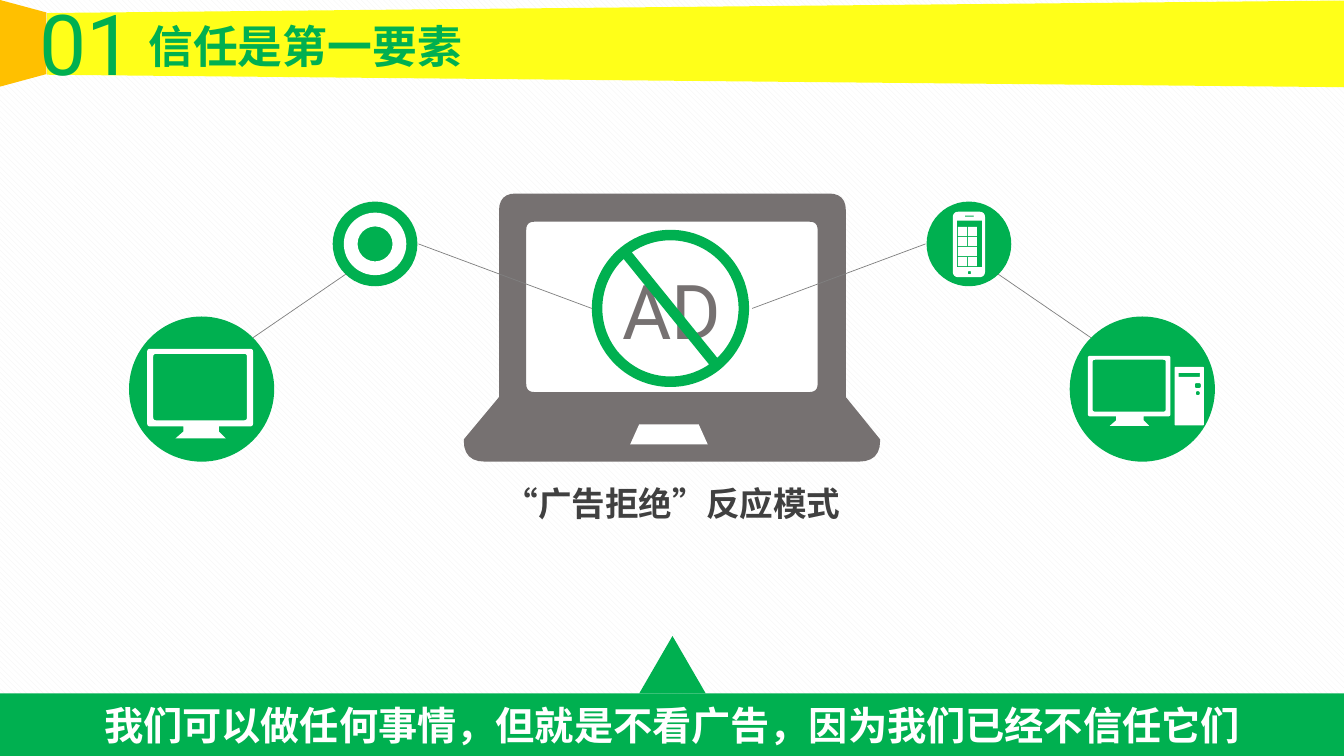
from math import dist
from lxml.etree import SubElement
from pptx import Presentation
from pptx.dml.color import RGBColor
from pptx.enum.dml import MSO_PATTERN
from pptx.enum.shapes import MSO_CONNECTOR, MSO_SHAPE
from pptx.enum.text import MSO_ANCHOR, MSO_AUTO_SIZE, PP_ALIGN
from pptx.oxml.ns import qn
from pptx.util import Inches, Pt

W, H = 13.33, 7.5
GREEN, GRAY, WHITE = "00B050", "767171", "FFFFFF"
CJK, LATIN = "Noto Sans CJK SC", "Roboto"

prs = Presentation()
prs.slide_width, prs.slide_height = Inches(W), Inches(H)
s = prs.slides.add_slide(prs.slide_layouts[5])
bg = s.background.fill
bg.patterned()
bg.pattern = MSO_PATTERN.WIDE_DOWNWARD_DIAGONAL
bg.fore_color.rgb = RGBColor.from_string("F2F2F2")
bg.back_color.rgb = RGBColor.from_string(WHITE)


def shape(kind, box, color, rotation=0, adj=None):
    sp = s.shapes.add_shape(kind, *map(Inches, box))
    sp.shadow.inherit = False
    sp.fill.solid()
    sp.fill.fore_color.rgb = RGBColor.from_string(color)
    sp.line.fill.background()
    sp.rotation = rotation
    if adj is not None:
        sp.adjustments[0] = adj
    return sp


def icon(color, outline, holes):
    """Fill an outline of (x, y, corner radius) points, cut by (x, y, w, h, radius) boxes."""
    contours = [outline] + [[(x, y, r), (x + w, y, r), (x + w, y + h, r), (x, y + h, r)]
                            for x, y, w, h, r in holes]
    builder = None
    for corners in contours:
        points = []
        for i, (x, y, r) in enumerate(corners):
            ends = []
            for nx, ny, _ in (corners[i - 1], corners[(i + 1) % len(corners)]):
                k = r / dist((x, y), (nx, ny))
                ends.append((x + k * (nx - x), y + k * (ny - y)))
            (ax, ay), (bx, by) = ends
            for t in ([n / 6 for n in range(7)] if r else [0]):
                a, m, b = (1 - t) ** 2, 2 * t * (1 - t), t ** 2
                points.append((Inches(a * ax + m * x + b * bx), Inches(a * ay + m * y + b * by)))
        if builder is None:
            builder = s.shapes.build_freeform(*points[0])
        else:
            builder.move_to(*points[0])
        builder.add_line_segments(points[1:], close=True)
    sp = builder.convert_to_shape()
    sp.shadow.inherit = False
    sp.fill.solid()
    sp.fill.fore_color.rgb = RGBColor.from_string(color)
    sp.line.fill.background()


# Header
shape(MSO_SHAPE.TRAPEZOID, (6.47, -6, 0.86, 12.87), "FFFF19", 270, 0.144)
shape(MSO_SHAPE.TRAPEZOID, (-0.2, 0.2, 0.86, 0.46), "FFC000", 90, 0.27)
number = s.shapes.add_textbox(*map(Inches, (0.26, -0.14, 1.2, 1.11)))
title = s.shapes.title
title.left, title.top, title.width, title.height = map(Inches, (1.37, 0.13, 5.21, 0.64))
s.shapes.element.append(title.element)

# Laptop with the blocked advert
shape(MSO_SHAPE.RECTANGLE, (5.18, 2.18, 2.97, 1.76), WHITE)
advert = s.shapes.add_textbox(*map(Inches, (5.92, 2.56, 1.48, 1.01)))
shape(MSO_SHAPE.NO_SYMBOL, (5.87, 2.28, 1.56, 1.56), GREEN, 6, 0.067)
icon(GRAY, [(4.95, 1.92, 0.17), (8.39, 1.92, 0.17), (8.39, 3.94, 0), (8.73, 4.36, 0),
            (8.73, 4.58, 0.21), (4.6, 4.58, 0.21), (4.6, 4.36, 0), (4.95, 3.94, 0)],
     [(5.22, 2.2, 2.89, 1.69, 0.08)])
shape(MSO_SHAPE.TRAPEZOID, (6.25, 4.21, 0.77, 0.2), WHITE, adj=0.45)

# Device circles and links, mirrored about the middle of the slide
for x, y, size in ((3.3, 2, 0.84), (1.28, 3.14, 1.44)):
    for left in (x, W - x - size):
        shape(MSO_SHAPE.OVAL, (left, y, size, size), GREEN)
for x1, y1, x2, y2 in ((2.51, 3.35, 3.43, 2.72), (4.15, 2.42, 5.87, 3.06)):
    for a, b in ((x1, x2), (W - x1, W - x2)):
        link = s.shapes.add_connector(MSO_CONNECTOR.STRAIGHT, *map(Inches, (a, y1, b, y2)))
        link.line.color.rgb = RGBColor.from_string("808080")
        link.line.width = Pt(0.5)
        SubElement(link.element.spPr, qn("a:effectLst"))

# Device icons
monitor = [(0, 0, 0.03), (1.05, 0, 0.03), (1.05, 0.77, 0.03), (0.71, 0.77, 0), (0.71, 0.82, 0),
           (0.78, 0.89, 0), (0.28, 0.89, 0), (0.36, 0.82, 0), (0.36, 0.77, 0), (0, 0.77, 0.03)]
for left, top, k in ((1.46, 3.46, 1), (10.79, 3.53, 0.78)):
    icon(WHITE, [(left + k * x, top + k * y, k * r) for x, y, r in monitor],
         [(left + k * 0.06, top + k * 0.05, k * 0.93, k * 0.66, k * 0.03)])
icon(WHITE, [(11.65, 3.64, 0.01), (11.94, 3.64, 0.01), (11.94, 4.22, 0.01), (11.65, 4.22, 0.01)],
     [(11.69, 3.7, 0.21, 0.04, 0), (11.85, 3.8, 0.06, 0.05, 0.02), (11.86, 3.88, 0.04, 0.04, 0.02)])
tiles = [(x, y, 0.09, 0.09, 0) for y in (2.25, 2.35, 2.55) for x in (9.5, 9.6)]
icon(WHITE, [(9.45, 2.1, 0.06), (9.77, 2.1, 0.06), (9.77, 2.75, 0.06), (9.45, 2.75, 0.06)],
     [(9.49, 2.19, 0.25, 0.46, 0), (9.5, 2.45, 0.19, 0.09, 0), (9.57, 2.14, 0.09, 0.01, 0),
      (9.6, 2.69, 0.03, 0.03, 0.01)] + tiles)
shape(MSO_SHAPE.DONUT, (3.41, 2.11, 0.62, 0.62), WHITE, adj=0.22)

# Caption and conclusion
caption = s.shapes.add_textbox(*map(Inches, (1.16, 4.74, 11.02, 0.5)))
shape(MSO_SHAPE.ISOSCELES_TRIANGLE, (6.34, 6.31, 0.66, 0.57), GREEN)
banner = shape(MSO_SHAPE.RECTANGLE, (0, 6.88, W, 0.62), GREEN)

for sp, text, size, font, color in (
    (number, "01", 60, LATIN, GREEN),
    (title, "信任是第一要素", 32, CJK, GREEN),
    (advert, "AD", 54, LATIN, GRAY),
    (caption, "“广告拒绝”反应模式", 24, CJK, "404040"),
    (banner, "我们可以做任何事情，但就是不看广告，因为我们已经不信任它们", 28, CJK, WHITE),
):
    tf = sp.text_frame
    tf.text = text
    tf.word_wrap = True
    tf.auto_size = MSO_AUTO_SIZE.NONE
    tf.vertical_anchor = MSO_ANCHOR.MIDDLE
    p = tf.paragraphs[0]
    p.alignment = PP_ALIGN.LEFT if sp is title else PP_ALIGN.CENTER
    r = p.runs[0]
    r.font.size = Pt(size)
    r.font.bold = font == CJK
    r.font.color.rgb = RGBColor.from_string(color)
    r.font.name = font
    SubElement(r._r.get_or_add_rPr(), qn("a:ea")).set("typeface", font)

prs.save("out.pptx")
